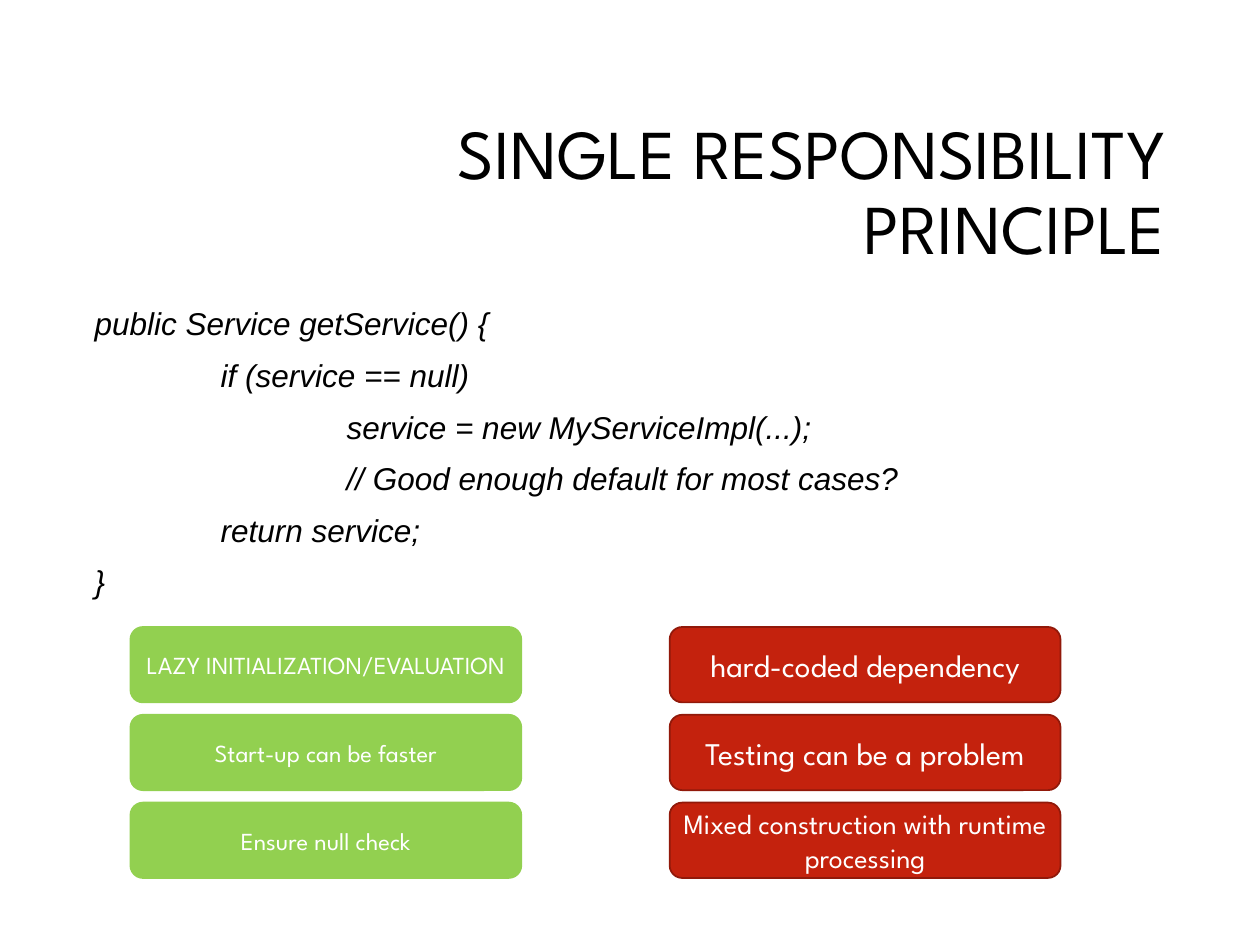
from dataclasses import dataclass

from lxml import etree
from pptx import Presentation
from pptx.dml.color import RGBColor
from pptx.enum.shapes import MSO_SHAPE
from pptx.enum.text import MSO_ANCHOR, MSO_AUTO_SIZE, PP_ALIGN
from pptx.oxml.ns import qn
from pptx.util import Cm, Pt

ROUND = MSO_SHAPE.ROUNDED_RECTANGLE
MIDDLE = MSO_ANCHOR.MIDDLE
FIXED = MSO_AUTO_SIZE.NONE
RIGHT, CENTER = PP_ALIGN.RIGHT, PP_ALIGN.CENTER


@dataclass(frozen=True)
class Theme:
    ink: str = "000000"
    white: str = "FFFFFF"
    green: str = "92D050"
    red: str = "C4220D"
    edge: str = "91190A"
    face: str = "League Spartan"
    code_face: str = "Arial"
    head: int = 40
    large: int = 18
    medium: int = 16
    small: int = 14
    leading: float = 0.9


THEME = Theme()

CODE = """public Service getService() {
\tif (service == null)
\t\tservice = new MyServiceImpl(...);
\t\t// Good enough default for most cases?
\treturn service;
}"""

PROS = [
    ("LAZY INITIALIZATION/EVALUATION", THEME.small),
    ("Start-up can be faster", THEME.small),
    ("Ensure null check", THEME.small),
]
CONS = [
    ("hard-coded dependency", THEME.large),
    ("Testing can be a problem", THEME.large),
    ("Mixed construction with runtime processing", THEME.medium),
]


def style(para, size, color, face=THEME.face):
    para.font.name = face
    para.font.size = Pt(size)
    para.font.color.rgb = RGBColor.from_string(color)


def add_tabs(para, step, count):
    tabs = etree.SubElement(para._p.get_or_add_pPr(), qn("a:tabLst"))
    for stop in range(1, count + 1):
        etree.SubElement(tabs, qn("a:tab"), pos=str(step * stop), algn="l")


def add_title(slide, text):
    title = slide.shapes.title
    title.left, title.top = Cm(6.05), Cm(2.13)
    title.width, title.height = Cm(17.7), Cm(3.58)
    frame = title.text_frame
    frame.text = text
    frame.word_wrap = True
    frame.auto_size = FIXED
    frame.vertical_anchor = MIDDLE
    para = frame.paragraphs[0]
    para.alignment = RIGHT
    para.line_spacing = THEME.leading
    style(para, THEME.head, THEME.ink)


def add_code(slide, code):
    box = slide.shapes.add_textbox(Cm(1.66), Cm(6.1), Cm(17.1), Cm(6.3))
    frame = box.text_frame
    frame.word_wrap = True
    frame.text = code
    for row, para in enumerate(frame.paragraphs):
        add_tabs(para, Cm(2.54), 2)
        para.line_spacing = THEME.leading
        para.space_before = Pt(10 if row else 0)
        style(para, THEME.large, THEME.ink, THEME.code_face)
        para.font.italic = True


def add_card(slide, left, top, text, size, fill, edge):
    card = slide.shapes.add_shape(ROUND, left, top, Cm(7.88), Cm(1.52))
    card.shadow.inherit = False
    card.fill.solid()
    card.fill.fore_color.rgb = RGBColor.from_string(fill)
    card.line.color.rgb = RGBColor.from_string(edge)
    card.line.width = Pt(1)
    frame = card.text_frame
    frame.text = text
    frame.word_wrap = True
    frame.margin_left = frame.margin_right = Cm(0.2)
    frame.vertical_anchor = MIDDLE
    para = frame.paragraphs[0]
    para.alignment = CENTER
    style(para, size, THEME.white)


def add_stack(slide, left, cards, fill, edge):
    for row, (text, size) in enumerate(cards):
        add_card(slide, left, Cm(12.64 + 1.77 * row), text, size, fill, edge)


def main():
    deck = Presentation()
    deck.slide_width, deck.slide_height = Cm(25.4), Cm(19.05)
    slide = deck.slides.add_slide(deck.slide_layouts.get_by_name("Title Only"))
    add_title(slide, "SINGLE RESPONSIBILITY PRINCIPLE")
    add_code(slide, CODE)
    add_stack(slide, Cm(2.63), PROS, THEME.green, THEME.green)
    add_stack(slide, Cm(13.5), CONS, THEME.red, THEME.edge)
    deck.save("out.pptx")


if __name__ == "__main__":
    main()
